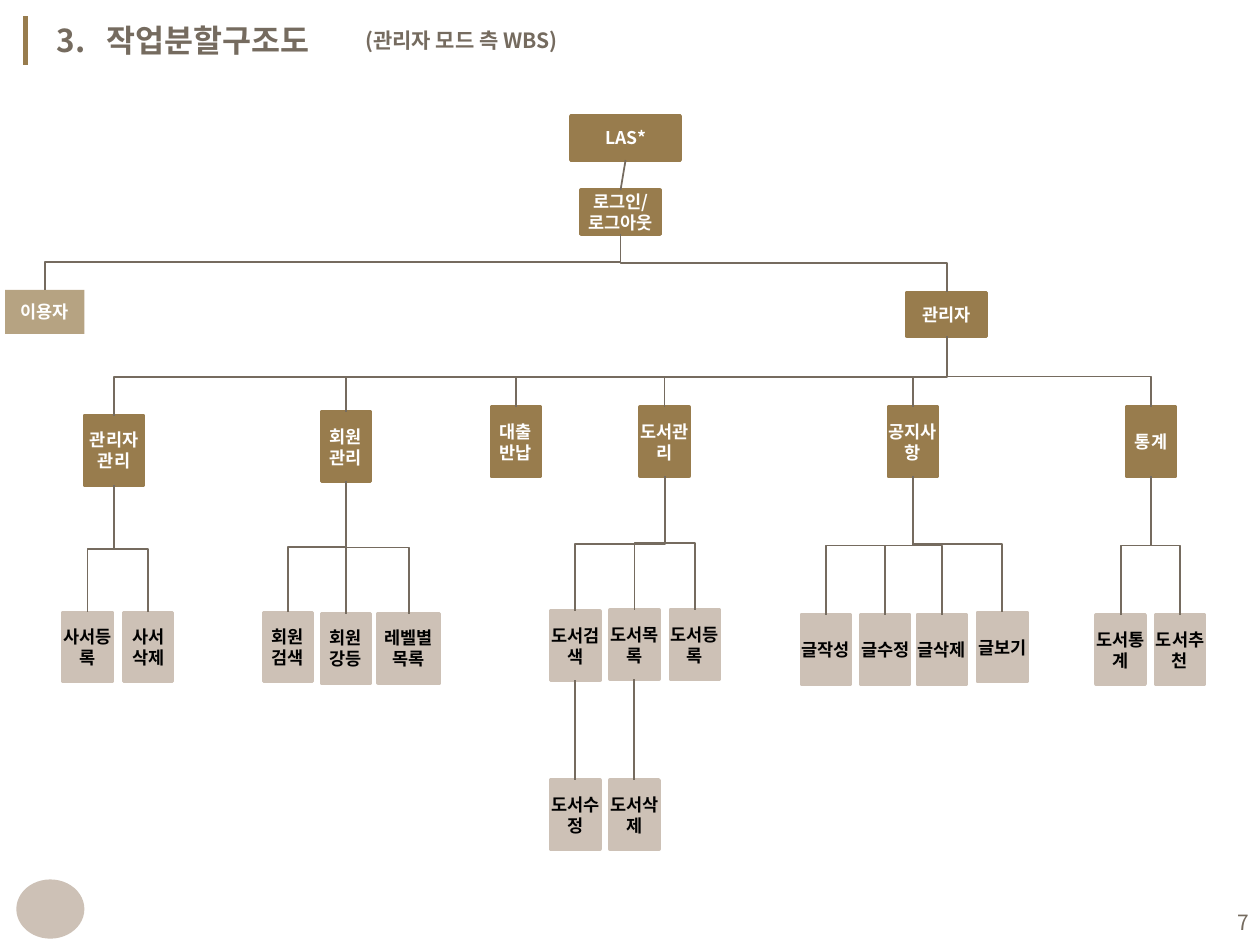
from lxml import etree
from pptx import Presentation
from pptx.dml.color import RGBColor
from pptx.enum.shapes import MSO_CONNECTOR, MSO_SHAPE
from pptx.enum.text import MSO_ANCHOR, PP_ALIGN
from pptx.oxml.ns import qn
from pptx.util import Inches, Pt

STRAIGHT, ELBOW = MSO_CONNECTOR.STRAIGHT, MSO_CONNECTOR.ELBOW
RECTANGLE, OVAL = MSO_SHAPE.RECTANGLE, MSO_SHAPE.OVAL
TOP, MIDDLE = MSO_ANCHOR.TOP, MSO_ANCHOR.MIDDLE
LEFT, CENTER, RIGHT = PP_ALIGN.LEFT, PP_ALIGN.CENTER, PP_ALIGN.RIGHT
TOP_SITE, BOTTOM_SITE = 0, 2

THEME = {
    "font": "Noto Sans CJK KR",
    "gold": "987C4D", "brown": "756B5F", "sand": "CDC1B6",
    "white": "FFFFFF", "black": "000000",
    "title": 18, "subtitle": 12, "node": 10,
    "accent": 3, "border": 2, "link": 1,
}

ROOT = ("LAS*", 4.53, 0.92, 0.87)
LOGIN = ("로그인/\n로그아웃", 4.61, 1.51, 0.63)
USER = ("이용자", 0.04, 2.3, 0.63)
MANAGER = ("관리자", 7.2, 2.32, 0.63)
MODULES = [
    (("관리자관리", 0.67, 3.3, 0.47),
     [("사서등록", 0.5, 4.86), ("사서\n삭제", 0.98, 4.86)]),
    (("회원\n관리", 2.55, 3.27),
     [("회원\n검색", 2.09, 4.86), ("회원\n강등", 2.55, 4.87), ("레벨별\n목록", 3, 4.87, 0.49)]),
    (("대출\n반납", 3.9, 3.23), []),
    (("도서관리", 5.08, 3.23),
     [("도서검색", 4.37, 4.85), ("도서목록", 4.84, 4.84), ("도서등록", 5.32, 4.84)]),
    (("공지사항", 7.05, 3.23),
     [("글작성", 6.36, 4.88), ("글수정", 6.83, 4.88), ("글삭제", 7.28, 4.88), ("글보기", 7.76, 4.86)]),
    (("통계", 8.94, 3.23),
     [("도서통계", 8.7, 4.88), ("도서추천", 9.17, 4.88)]),
]
DETAILS = [("도서검색", ("도서수정", 4.37, 6.19)), ("도서목록", ("도서삭제", 4.84, 6.19))]
HEAD_SIZE = (0.63, 0.35)
MODULE_SIZE = (0.39, 0.55)
BUS = 2.99

deck = Presentation()
deck.slide_width, deck.slide_height = Inches(10), Inches(7.5)
page = deck.slides.add_slide(deck.slide_layouts[6])


def color(name):
    return RGBColor.from_string(THEME[name])


def write(box, text, size="node", ink="brown", bold=True, align=LEFT, anchor=TOP, inset=None):
    frame = box.text_frame
    frame.word_wrap, frame.vertical_anchor = True, anchor
    if inset is not None:
        frame.margin_left = frame.margin_right = Inches(inset)
        frame.margin_top = frame.margin_bottom = Inches(inset)
    for index, line in enumerate(text.split("\n")):
        para = frame.add_paragraph() if index else frame.paragraphs[0]
        para.alignment = align
        span = para.add_run()
        span.text = line
        font = span.font
        font.name, font.size, font.bold = THEME["font"], Pt(THEME[size]), bold
        font.color.rgb = color(ink)
        etree.SubElement(font._element, qn("a:ea"), typeface=THEME["font"])
    return frame.paragraphs[0]


def add_text_box(*place):
    return page.shapes.add_textbox(*map(Inches, place))


def add_filled(kind, place, fill):
    box = page.shapes.add_shape(kind, *map(Inches, place))
    box.shadow.inherit = False
    box.fill.solid()
    box.fill.fore_color.rgb = color(fill)
    box.line.fill.background()
    return box


def add_node(text, left, top, width, height, fill="gold", ink="white", alpha=None):
    box = add_filled(RECTANGLE, (left, top, width, height), fill)
    if alpha:
        tint = box.fill._xPr.find(".//" + qn("a:srgbClr"))
        etree.SubElement(tint, qn("a:alpha"), val=str(alpha * 1000))
    else:
        box.line.color.rgb = color(fill)
        box.line.width = Pt(THEME["border"])
    write(box, text, ink=ink, align=CENTER, anchor=MIDDLE, inset=0)
    return box


def add_head(text, left, top, width=HEAD_SIZE[0], **look):
    return add_node(text, left, top, width, HEAD_SIZE[1], **look)


def add_module(text, left, top, width=MODULE_SIZE[0], **look):
    return add_node(text, left, top, width, MODULE_SIZE[1], **look)


def add_leaf(*node):
    return add_module(*node, fill="sand", ink="black")


def add_line(kind, start, end, ink="brown", weight="link"):
    line = page.shapes.add_connector(kind, *start, *end)
    line.line.color.rgb, line.line.width = color(ink), Pt(THEME[weight])
    etree.SubElement(line._element.spPr, qn("a:effectLst"))
    return line


def link(parent, child, kind=ELBOW, bus=None):
    start = parent.left + parent.width // 2, parent.top + parent.height
    end = child.left + child.width // 2, child.top
    across, down = end[0] - start[0], end[1] - start[1]
    straight = kind == STRAIGHT or across == 0
    line = add_line(STRAIGHT if straight else ELBOW, start, end)
    line.begin_connect(parent, BOTTOM_SITE)
    line.end_connect(child, TOP_SITE)
    if straight:
        return
    turn = line._element.spPr.find(qn("a:xfrm"))
    for flip in ("flipH", "flipV"):
        turn.attrib.pop(flip, None)
    turn.set("rot", str((270 if across > 0 else 90) * 60000))
    if across > 0:
        turn.set("flipH", "1")
    line.width, line.height = down, abs(across)
    line.left = (start[0] + end[0] - down) // 2
    line.top = (start[1] + end[1] - abs(across)) // 2
    if bus:
        guides = line._element.spPr.find(".//" + qn("a:avLst"))
        share = round((Inches(bus) - start[1]) / down * 100000)
        etree.SubElement(guides, qn("a:gd"), name="adj1", fmla=f"val {share}")


add_line(STRAIGHT, (Inches(0.2), Inches(0.13)), (Inches(0.2), Inches(0.52)), "gold", "accent")
title = write(add_text_box(0.35, 0.12, 3.21, 0.4), "3.\t작업분할구조도", size="title")
title_format = title._p.get_or_add_pPr()
title_format.set("marL", str(Inches(0.4)))
title_format.set("indent", str(-Inches(0.4)))
write(add_text_box(2.8, 0.17, 1.75, 0.3), "(관리자 모드 측 WBS)", size="subtitle")

root, login, manager = (add_head(*node) for node in (ROOT, LOGIN, MANAGER))
user = add_head(*USER, alpha=70)
link(root, login, STRAIGHT)
link(login, user)
link(login, manager)

leaves = {}
for position, (module, children) in enumerate(MODULES):
    box = add_module(*module)
    if position in (0, len(MODULES) - 1):
        link(manager, box, bus=BUS)
    else:
        middle = box.left + box.width // 2
        stem = add_line(STRAIGHT, (middle, box.top), (middle, Inches(BUS)))
        stem.begin_connect(box, TOP_SITE)
    for child in children:
        leaves[child[0]] = add_leaf(*child)
        link(box, leaves[child[0]])
for parent, detail in DETAILS:
    link(leaves[parent], add_leaf(*detail))

add_filled(OVAL, (0.13, 6.98, 0.54, 0.47), "sand")
write(add_text_box(7.68, 7.12, 2.33, 0.4), "7", size="subtitle", bold=False, align=RIGHT, anchor=MIDDLE)

deck.save("out.pptx")
